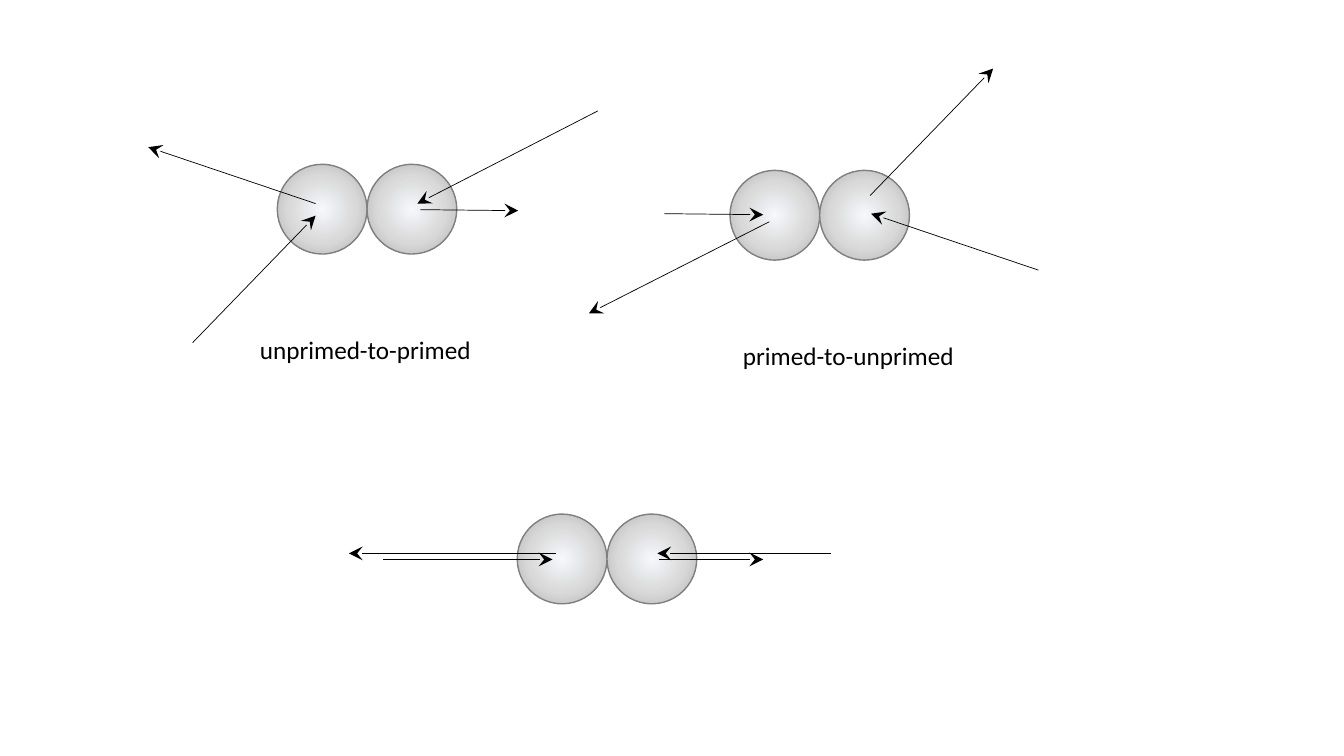
from dataclasses import dataclass

from pptx import Presentation
from pptx.dml.color import RGBColor
from pptx.enum.shapes import MSO_CONNECTOR, MSO_SHAPE
from pptx.enum.text import MSO_AUTO_SIZE
from pptx.oxml import parse_xml
from pptx.oxml.ns import nsdecls, qn
from pptx.oxml.xmlchemy import OxmlElement
from pptx.shapes.group import GroupShape
from pptx.util import Inches, Pt

Point = tuple[float, float]


@dataclass(frozen=True)
class Theme:
    font: str = "Calibri"
    label_size: float = 18
    ink: str = "000000"
    outline: str = "808080"
    outline_width: float = 1
    arrow_width: float = 0.5
    ball_stops: tuple[tuple[int, str], ...] = (
        (0, "F6F8FC"), (53, "D9D9D9"), (83, "BFBFBF"), (100, "A6A6A6"))


@dataclass(frozen=True)
class Arrow:
    start: Point
    end: Point


@dataclass(frozen=True)
class Label:
    text: str
    corner: Point


@dataclass(frozen=True)
class Collision:
    balls_corner: Point
    arrows: tuple[Arrow, ...]
    label: Label | None = None


THEME = Theme()
DIAMETER = 0.89
LABEL_WIDTH, LABEL_HEIGHT = 3, 0.4

COLLISIONS = (
    Collision(
        (2.75, 1.63),
        (Arrow((1.91, 3.4), (3.13, 2.14)),
         Arrow((3.13, 2.02), (1.47, 1.46)),
         Arrow((5.93, 1.1), (4.14, 2.02)),
         Arrow((4.17, 2.08), (5.14, 2.09))),
        Label("unprimed-to-primed", (2.48, 3.27)),
    ),
    Collision(
        (7.24, 1.69),
        (Arrow((8.63, 1.94), (9.85, 0.68)),
         Arrow((10.3, 2.68), (8.64, 2.12)),
         Arrow((7.63, 2.2), (5.84, 3.11)),
         Arrow((6.59, 2.12), (7.57, 2.13))),
        Label("primed-to-unprimed", (7.27, 3.33)),
    ),
    Collision(
        (5.13, 5.1),
        (Arrow((3.8, 5.55), (5.48, 5.55)),
         Arrow((5.51, 5.49), (3.46, 5.49)),
         Arrow((8.24, 5.49), (6.52, 5.49)),
         Arrow((6.54, 5.55), (7.57, 5.55))),
    ),
)


def add_ball(group: GroupShape, left: float, top: float) -> None:
    ball = group.shapes.add_shape(
        MSO_SHAPE.OVAL, Inches(left), Inches(top), Inches(DIAMETER), Inches(DIAMETER))
    ball.shadow.inherit = False
    ball.line.color.rgb = RGBColor.from_string(THEME.outline)
    ball.line.width = Pt(THEME.outline_width)
    ball.fill.gradient()
    stops = "".join(
        f'<a:gs pos="{percent * 1000}"><a:srgbClr val="{color}"/></a:gs>'
        for percent, color in THEME.ball_stops)
    radial = parse_xml(
        f'<a:gradFill {nsdecls("a")} rotWithShape="1"><a:gsLst>{stops}</a:gsLst>'
        '<a:path path="circle"><a:fillToRect l="50000" t="50000" r="50000" b="50000"/>'
        '</a:path></a:gradFill>')
    properties = ball._element.spPr
    properties.replace(properties.find(qn("a:gradFill")), radial)


def add_arrow(group: GroupShape, arrow: Arrow) -> None:
    ends = [Inches(value) for value in (*arrow.start, *arrow.end)]
    connector = group.shapes.add_connector(MSO_CONNECTOR.STRAIGHT, *ends)
    connector.line.color.rgb = RGBColor.from_string(THEME.ink)
    connector.line.width = Pt(THEME.arrow_width)
    head = OxmlElement("a:tailEnd")
    for name, value in (("type", "stealth"), ("w", "lg"), ("len", "lg")):
        head.set(name, value)
    connector.line._get_or_add_ln().append(head)
    connector._element.spPr.append(OxmlElement("a:effectLst"))


def add_label(group: GroupShape, label: Label) -> None:
    left, top = label.corner
    box = group.shapes.add_textbox(
        Inches(left), Inches(top), Inches(LABEL_WIDTH), Inches(LABEL_HEIGHT))
    frame = box.text_frame
    frame.word_wrap = True
    frame.auto_size = MSO_AUTO_SIZE.SHAPE_TO_FIT_TEXT
    paragraph = frame.paragraphs[0]
    paragraph.text = label.text
    paragraph.font.name = THEME.font
    paragraph.font.size = Pt(THEME.label_size)
    paragraph.font.color.rgb = RGBColor.from_string(THEME.ink)


def add_collision(group: GroupShape, collision: Collision) -> None:
    left, top = collision.balls_corner
    for index in range(2):
        add_ball(group, left + index * DIAMETER, top)
    for arrow in collision.arrows:
        add_arrow(group, arrow)
    if collision.label:
        add_label(group, collision.label)


def main() -> None:
    deck = Presentation()
    deck.slide_width, deck.slide_height = Inches(13.33), Inches(7.5)
    page = deck.slides.add_slide(deck.slide_layouts[6])
    for collision in COLLISIONS:
        add_collision(page.shapes.add_group_shape(), collision)
    deck.save("out.pptx")


if __name__ == "__main__":
    main()
